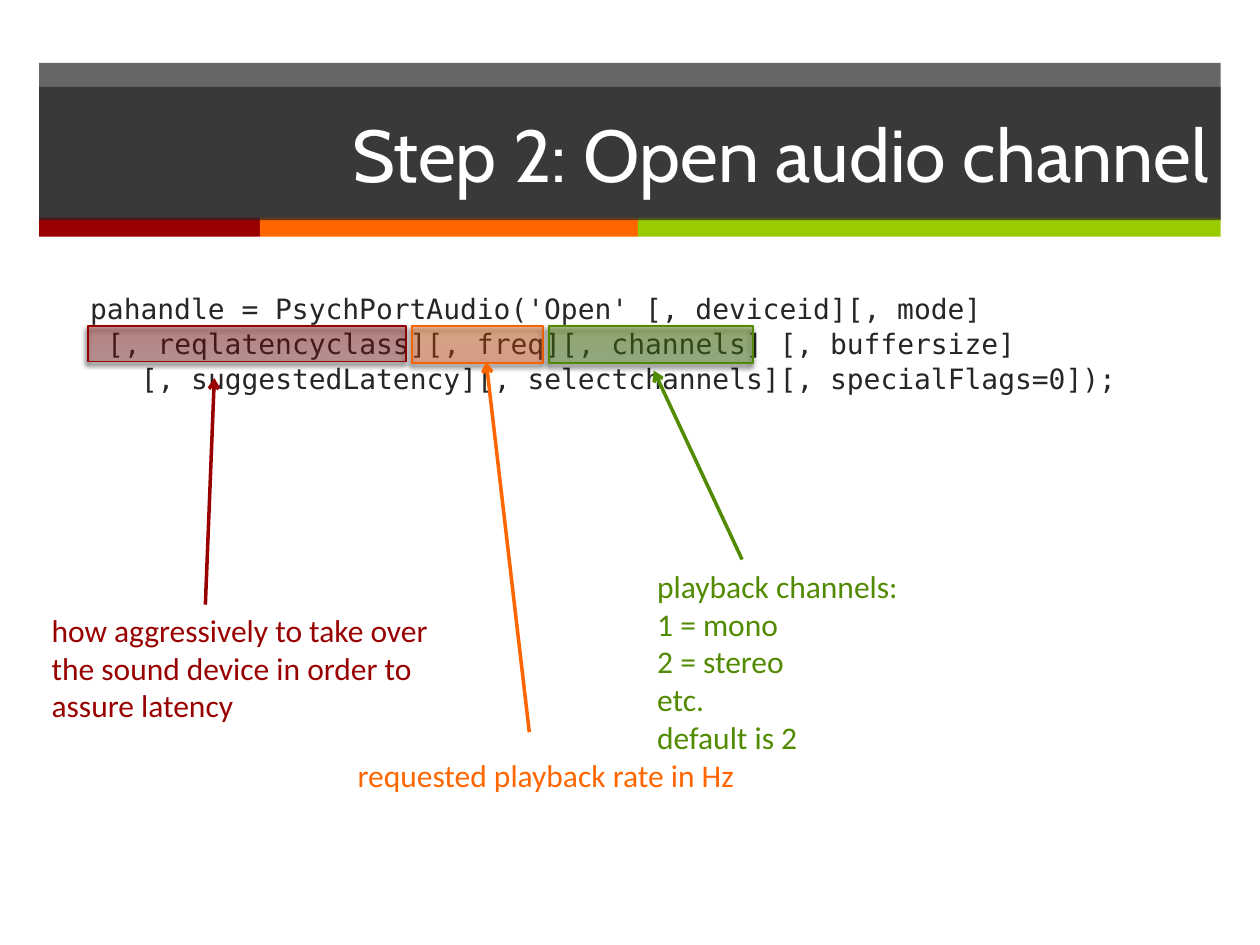
from lxml.etree import SubElement
from pptx import Presentation
from pptx.dml.color import RGBColor
from pptx.enum.shapes import MSO_CONNECTOR, MSO_SHAPE
from pptx.enum.text import MSO_ANCHOR, PP_ALIGN
from pptx.oxml.ns import qn
from pptx.util import Cm, Pt

COLORS = {
    "dark": "262626", "white": "FFFFFF",
    "red": "990000", "red_top": "9D2828", "red_line": "960000",
    "orange": "FF6600", "orange_top": "FF5217", "orange_line": "F96400",
    "lime": "99CC00",
    "green": "528A02", "green_top": "548E2B", "green_end": "528C00", "green_line": "518900",
}


class SlideBuilder:
    """Hold the fonts, the colours and the current slide."""

    title_font, note_font, code_font = "Cabin", "Calibri", "DejaVu Sans Mono"

    def __init__(self, prs):
        self.s = prs.slides.add_slide(prs.slide_layouts[6])

    def rgb(self, name):
        return RGBColor.from_string(COLORS[name])

    def set_alpha(self, parent, percent):
        for clr in parent.iter(qn("a:srgbClr")):
            SubElement(clr, qn("a:alpha"), val=str(percent * 1000))

    def rect(self, x, y, w, h):
        sp = self.s.shapes.add_shape(MSO_SHAPE.RECTANGLE, Cm(x), Cm(y), Cm(w), Cm(h))
        sp.shadow.inherit = False
        return sp

    def band(self, x, y, w, h, color, alpha=100):
        sp = self.rect(x, y, w, h)
        sp.fill.solid()
        sp.fill.fore_color.rgb = self.rgb(color)
        if alpha < 100:
            self.set_alpha(sp._element.spPr, alpha)
        sp.line.fill.background()
        return sp

    def fill_text(self, tf, lines, font, size, color, align=PP_ALIGN.LEFT):
        tf.word_wrap = True
        for i, line in enumerate(lines):
            p = tf.paragraphs[0] if i == 0 else tf.add_paragraph()
            p.text = line
            p.alignment = align
            p.font.name = font
            p.font.size = Pt(size)
            p.font.color.rgb = self.rgb(color)

    def title(self, x, y, w, h, text):
        sp = self.band(x, y, w, h, "dark", 70)
        sp.text_frame.vertical_anchor = MSO_ANCHOR.MIDDLE
        self.fill_text(sp.text_frame, [text], self.title_font, 42, "white", PP_ALIGN.RIGHT)

    def text(self, x, y, w, h, lines, font, size, color):
        tf = self.s.shapes.add_textbox(Cm(x), Cm(y), Cm(w), Cm(h)).text_frame
        self.fill_text(tf, lines, font, size, color)
        return tf

    def code(self, x, y, w, h, lines):
        tf = self.text(x, y, w, h, [line for _, line in lines], self.code_font, 16, "dark")
        for p, (indent, _) in zip(tf.paragraphs, lines):
            p.line_spacing = 1.05
            p._p.get_or_add_pPr().set("marL", str(Cm(0.34 * indent)))

    def highlight(self, x, y, w, h, top, end, line, alpha):
        sp = self.rect(x, y, w, h)
        sp.fill.gradient()
        sp.fill.gradient_angle = 90
        for stop, color in zip(sp.fill.gradient_stops, (top, end)):
            stop.color.rgb = self.rgb(color)
        self.set_alpha(sp._element.spPr, alpha)
        sp.line.color.rgb = self.rgb(line)
        sp.line.width = Pt(1)
        effects = sp._element.spPr.find(qn("a:effectLst"))
        shadow = SubElement(effects, qn("a:outerShdw"), blurRad=str(Pt(3)),
                            dist=str(Pt(2)), dir="6600000", rotWithShape="0")
        SubElement(shadow, qn("a:srgbClr"), val="000000")
        self.set_alpha(shadow, 75)

    def arrow(self, x1, y1, x2, y2, color):
        cn = self.s.shapes.add_connector(MSO_CONNECTOR.STRAIGHT, Cm(x1), Cm(y1), Cm(x2), Cm(y2))
        cn.line.color.rgb = self.rgb(color)
        cn.line.width = Pt(2)
        SubElement(cn._element.spPr.find(qn("a:ln")), qn("a:tailEnd"), type="arrow")
        SubElement(cn._element.spPr, qn("a:effectLst"))

    def note(self, x, y, w, h, lines, color):
        self.text(x, y, w, h, lines, self.note_font, 18, color)


def main():
    prs = Presentation()
    prs.slide_width, prs.slide_height = Cm(25.4), Cm(19.05)
    b = SlideBuilder(prs)

    left, width = 0.79, 23.82
    b.band(left, 1.27, width, 3.15, "dark", 70)
    x = left
    for w, color in ((4.45, "red"), (7.62, "orange"), (11.75, "lime")):
        b.band(x, 4.39, w, 0.38, color)
        x += w
    b.title(left, 1.75, width, 2.69, "Step 2: Open audio channel")

    b.code(1.57, 5.72, 23.57, 3.78, [
        (0, "pahandle = PsychPortAudio('Open' [, deviceid][, mode]"),
        (1, "[, reqlatencyclass][, freq][, channels] [, buffersize]"),
        (3, "[, suggestedLatency][, selectchannels][, specialFlags=0]);"),
    ])

    callouts = [
        ("red", (1.78, 6.58, 6.4, 0.71), ("red_top", "red", "red_line", 32),
         (4.14, 12.19, 4.32, 7.62), (0.79, 12.19, 8.31, 2.57),
         ["how aggressively to take over the sound device in order to assure latency"]),
        ("orange", (8.31, 6.58, 2.64, 0.74), ("orange_top", "orange", "orange_line", 33),
         (10.67, 14.76, 9.8, 7.29), (6.96, 15.11, 8.31, 1.02),
         ["requested playback rate in Hz"]),
        ("green", (11.07, 6.58, 4.11, 0.74), ("green_top", "green_end", "green_line", 38),
         (14.96, 11.28, 13.18, 7.47), (13, 11.3, 5.79, 4.11),
         ["playback channels:", "1 = mono", "2 = stereo", "etc.", "default is 2"]),
    ]
    for color, box, style, ends, note_box, lines in callouts:
        b.highlight(*box, *style)
        b.arrow(*ends, color)
        b.note(*note_box, lines, color)

    prs.save("out.pptx")


if __name__ == "__main__":
    main()
